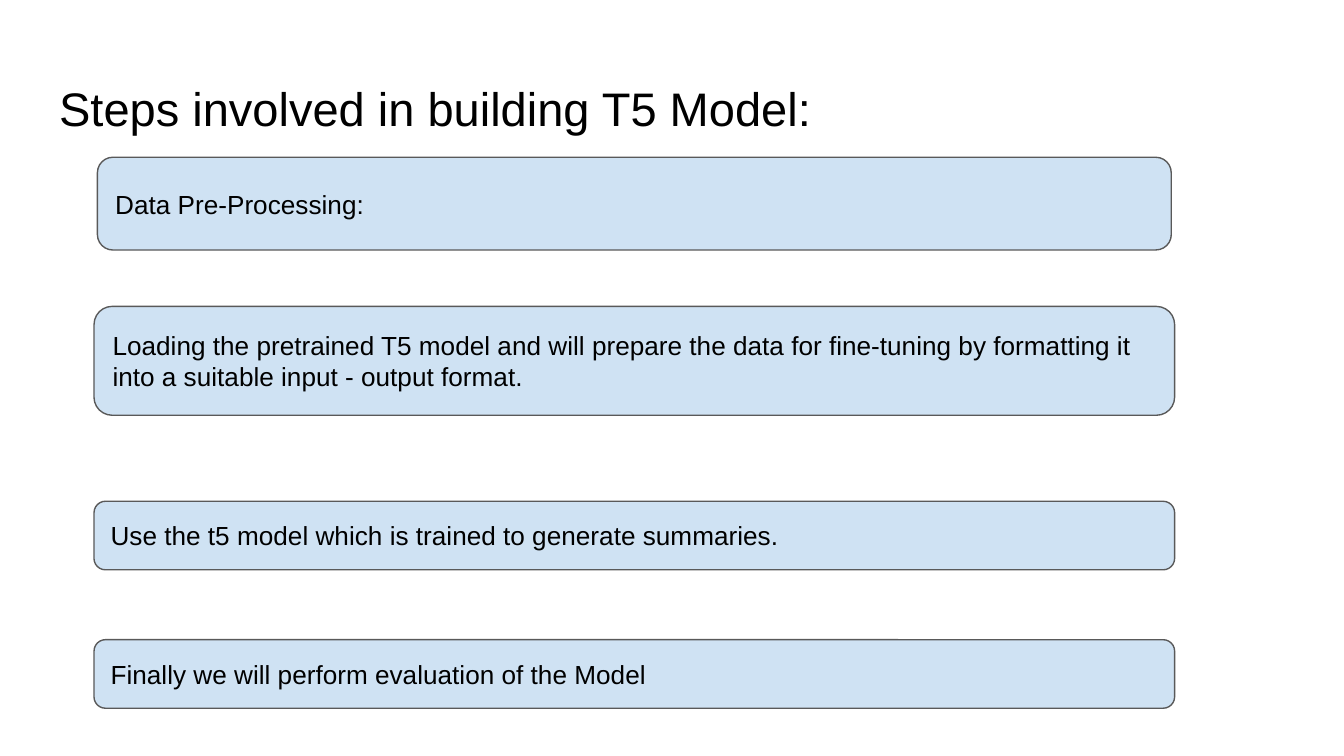
from dataclasses import dataclass

from pptx import Presentation
from pptx.dml.color import RGBColor
from pptx.enum.shapes import MSO_SHAPE as Preset
from pptx.enum.text import MSO_ANCHOR as Anchor, MSO_AUTO_SIZE as AutoSize, PP_ALIGN as Align
from pptx.util import Inches, Pt


@dataclass(frozen=True)
class Theme:
    """Colours, type and margins shared by the slide."""
    font: str = "Arial"
    ink: RGBColor = RGBColor(0, 0, 0)
    panel: RGBColor = RGBColor(0xCF, 0xE2, 0xF3)
    outline: RGBColor = RGBColor(0x59, 0x59, 0x59)
    title_size: float = 25.2
    step_size: float = 14
    inset: float = 0.1


THEME = Theme()
WIDTH = 10
HEIGHT = WIDTH * 9 / 16
STEP_CENTRE = 4.72
STEPS = [
    ("Data Pre-Processing:", 1.17, 7.99, 0.69),
    ("Loading the pretrained T5 model and will prepare the data for fine-tuning by "
     "formatting it into a suitable input - output format.", 2.28, 8.04, 0.81),
    ("Use the t5 model which is trained to generate summaries.", 3.73, 8.04, 0.51),
    ("Finally we will perform evaluation of the Model", 4.76, 8.04, 0.51),
]


def write(frame, wording, size, anchor):
    """Fill a text frame with one left-aligned paragraph."""
    frame.text = wording
    frame.word_wrap = True
    frame.auto_size = AutoSize.NONE
    frame.vertical_anchor = anchor
    frame.margin_left = frame.margin_right = Inches(THEME.inset)
    frame.margin_top = frame.margin_bottom = Inches(THEME.inset)
    paragraph = frame.paragraphs[0]
    paragraph.alignment = Align.LEFT
    paragraph.line_spacing = 1.0
    paragraph.space_before = Pt(0)
    font = paragraph.runs[0].font
    font.name, font.size = THEME.font, Pt(size)
    font.color.rgb = THEME.ink


def place_title(slide, wording):
    """Set the heading across the slide between equal side margins."""
    heading = slide.shapes.title
    margin = 0.34
    heading.left, heading.top = Inches(margin), Inches(0.49)
    heading.width, heading.height = Inches(WIDTH - 2 * margin), Inches(0.59)
    write(heading.text_frame, wording, THEME.title_size, Anchor.TOP)


def add_step(slide, wording, top, width, height):
    """Add a rounded step panel centred on the shared column axis."""
    left = STEP_CENTRE - width / 2
    step = slide.shapes.add_shape(Preset.ROUNDED_RECTANGLE, Inches(left), Inches(top),
                                  Inches(width), Inches(height))
    step.shadow.inherit = False
    step.fill.solid()
    step.fill.fore_color.rgb = THEME.panel
    step.line.color.rgb = THEME.outline
    step.line.width = Pt(0.75)
    write(step.text_frame, wording, THEME.step_size, Anchor.MIDDLE)


def main():
    """Build the slide and save it."""
    deck = Presentation()
    deck.slide_width, deck.slide_height = Inches(WIDTH), Inches(HEIGHT)
    slide = deck.slides.add_slide(deck.slide_layouts[5])
    place_title(slide, "Steps involved in building T5 Model:")
    for step in STEPS:
        add_step(slide, *step)
    deck.save("out.pptx")


main()
